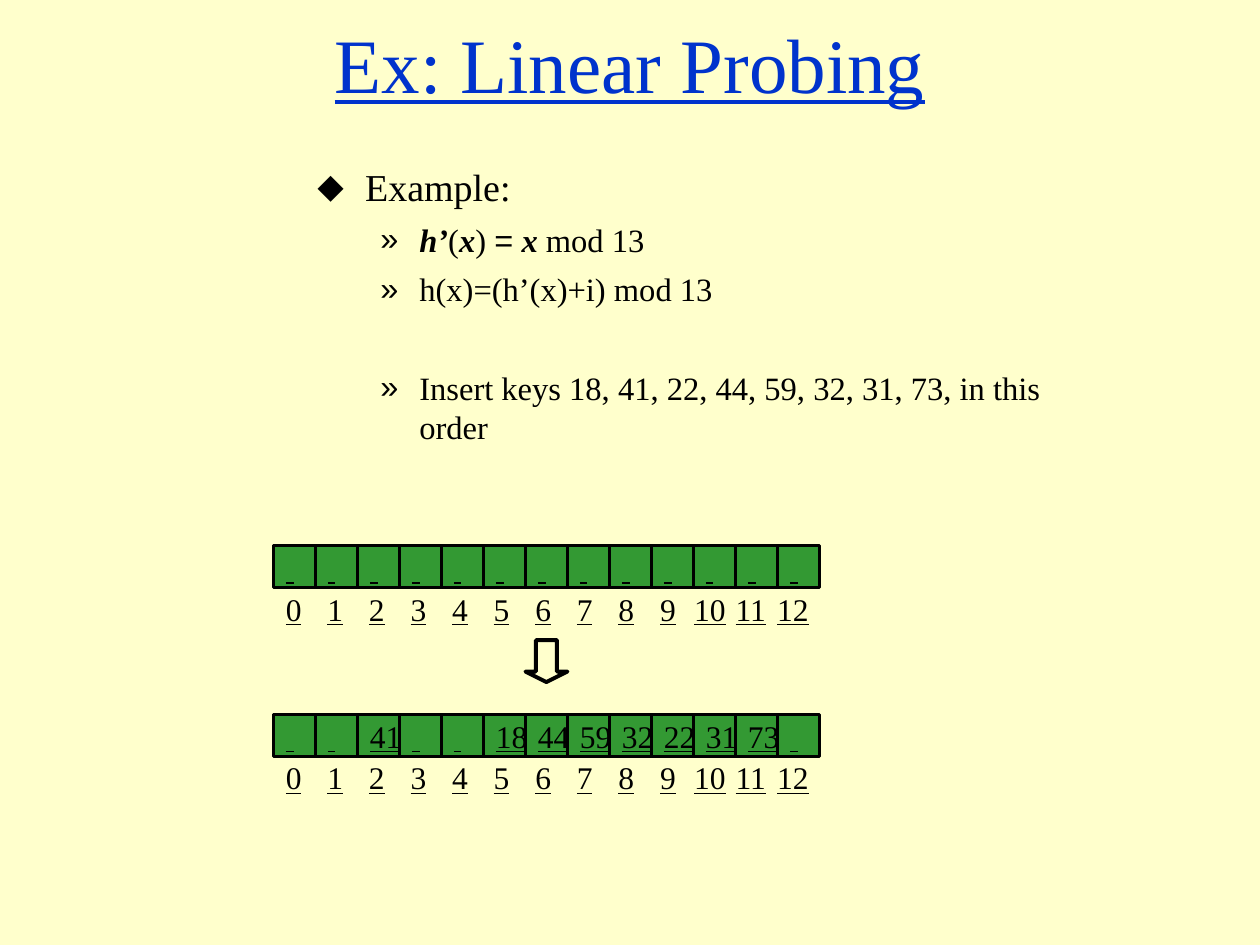
from lxml import etree
from pptx import Presentation
from pptx.dml.color import RGBColor
from pptx.enum.shapes import MSO_SHAPE as Shape
from pptx.enum.text import MSO_ANCHOR as Anchor, MSO_AUTO_SIZE as Fit, PP_ALIGN as Align
from pptx.oxml.ns import qn
from pptx.util import Inches, Pt

HUES = {"back": "FFFFCC", "title": "0033CC", "cell": "339933", "ink": "000000"}
INK = RGBColor.from_string(HUES["ink"])
SERIF = "Times New Roman"


def style(run, size, hue="ink", under=None):
    font = run.font
    font.name, font.size, font.underline = SERIF, Pt(size), under
    font.color.rgb = RGBColor.from_string(HUES[hue])


def bullet(para, mark, left, hang):
    """Give the paragraph a bullet sign with a hanging indent."""
    props = para._p.get_or_add_pPr()
    props.set("marL", str(Inches(left)))
    props.set("indent", str(-Inches(hang)))
    color = etree.SubElement(props, qn("a:buClr"))
    etree.SubElement(color, qn("a:srgbClr"), val=HUES["ink"])
    etree.SubElement(props, qn("a:buFont"), typeface="Arial")
    etree.SubElement(props, qn("a:buChar"), char=mark)


deck = Presentation()
deck.slide_width, deck.slide_height = Inches(10), Inches(7.5)
slide = deck.slides.add_slide(deck.slide_layouts[6])
slide.background.fill.solid()
slide.background.fill.fore_color.rgb = RGBColor.from_string(HUES["back"])
shapes = slide.shapes

# Title
frame = shapes.add_textbox(0, 0, Inches(10), Inches(1)).text_frame
frame.word_wrap = True
frame.vertical_anchor = Anchor.MIDDLE
frame.text = "Ex: Linear Probing"
frame.paragraphs[0].alignment = Align.CENTER
style(frame.paragraphs[0].runs[0], 44, "title", True)

# Hash functions and keys: level, space before, (text, bold italic) parts
lines = [
    (0, 7, [("Example:", False)]),
    (1, 6, [("h’", True), ("(", False), ("x", True), (") ", False),
            ("=", False), (" x ", True), ("mod 13", False)]),
    (1, 6, [("h(x)=(h’(x)+i) mod 13", False)]),
    (1, 34, [("Insert keys 18, 41, 22, 44, 59, 32, 31, 73, in this order", False)]),
]
frame = shapes.add_textbox(Inches(2.42), Inches(1.25), Inches(6), Inches(2.42)).text_frame
frame.word_wrap = True
for i, (level, gap, parts) in enumerate(lines):
    para = frame.add_paragraph() if i else frame.paragraphs[0]
    para.level = level
    para.space_before = Pt(gap)
    bullet(para, *(("»", 0.81, 0.31) if level else ("⬥", 0.38, 0.38)))
    for text, strong in parts:
        run = para.add_run()
        run.text = text
        style(run, 18.6 if level else 21.7)
        run.font.bold = run.font.italic = strong
        if text == "=":
            run.font.name = "Arial"

# Hash table before and after the inserts
SLOTS, LEFT, SIDE = 13, 2.17, 1 / 3
keys = {2: 41, 5: 18, 6: 44, 7: 59, 8: 32, 9: 22, 10: 31, 11: 73}
for top, filled in ((4.33, {}), (5.67, keys)):
    for slot in range(SLOTS):
        cell = shapes.add_shape(Shape.RECTANGLE, Inches(LEFT + slot * SIDE), Inches(top),
                                Inches(SIDE), Inches(SIDE))
        cell.shadow.inherit = False
        cell.fill.solid()
        cell.fill.fore_color.rgb = RGBColor.from_string(HUES["cell"])
        cell.line.color.rgb = INK
        cell.line.width = Pt(1.5)
        frame = cell.text_frame
        frame.word_wrap = False
        frame.vertical_anchor = Anchor.MIDDLE
        frame.text = str(filled.get(slot, " "))
        frame.paragraphs[0].alignment = Align.LEFT
        style(frame.paragraphs[0].runs[0], 18, under=True)
    for slot in range(SLOTS):
        shift, width = (0.06, 0.45) if slot > 9 else (0, 0.32)
        label = shapes.add_textbox(Inches(LEFT + slot * 0.33 - shift), Inches(top + 0.3),
                                   Inches(width), Inches(0.4))
        frame = label.text_frame
        frame.word_wrap = False
        frame.auto_size = Fit.SHAPE_TO_FIT_TEXT
        frame.text = str(slot)
        style(frame.paragraphs[0].runs[0], 18, under=True)

arrow = shapes.add_shape(Shape.DOWN_ARROW, Inches(LEFT + 6 * SIDE), Inches(5.08),
                         Inches(SIDE), Inches(SIDE))
arrow.shadow.inherit = False
arrow.adjustments[0], arrow.adjustments[1] = 0.5, 0.25
arrow.fill.background()
arrow.line.color.rgb = INK
arrow.line.width = Pt(2.25)

deck.save("out.pptx")
